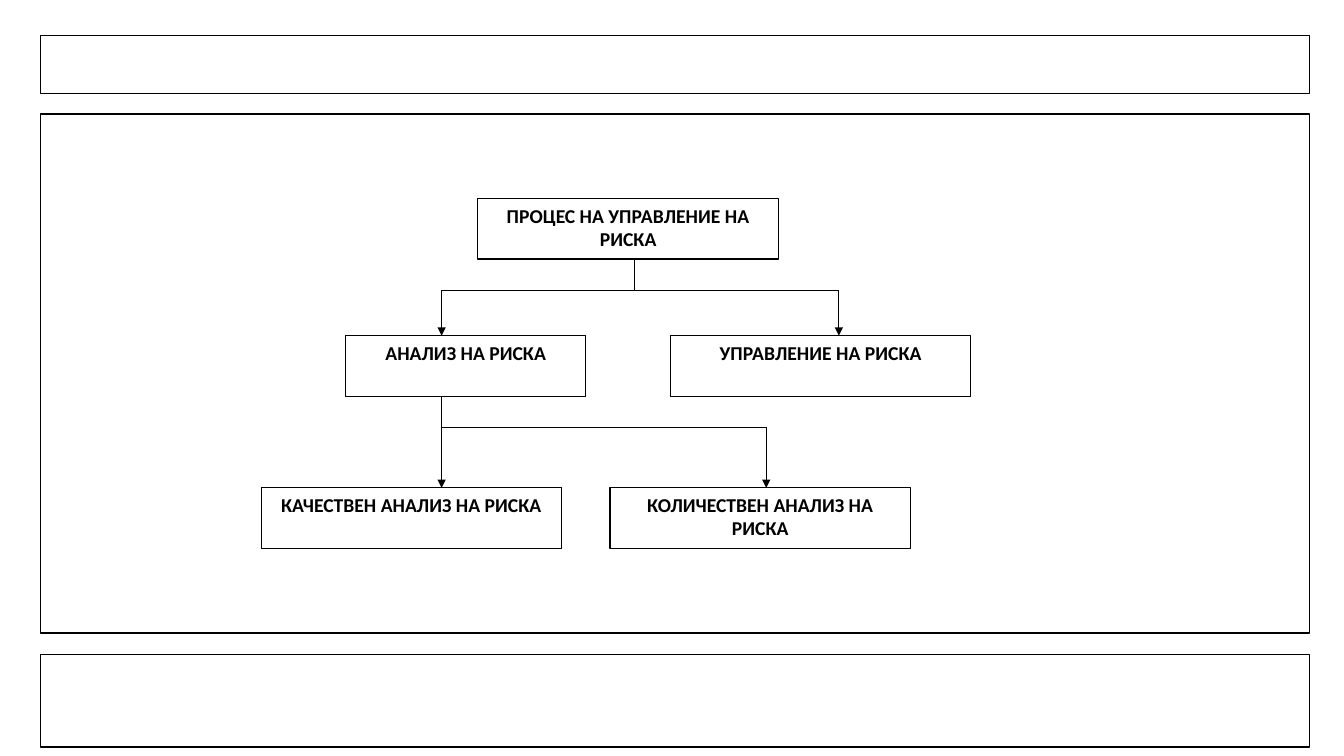
from lxml import etree
from pptx import Presentation
from pptx.dml.color import RGBColor
from pptx.enum.shapes import MSO_CONNECTOR, MSO_SHAPE
from pptx.enum.text import MSO_ANCHOR, PP_ALIGN
from pptx.oxml.ns import qn
from pptx.util import Inches, Pt

RECTANGLE = MSO_SHAPE.RECTANGLE
STRAIGHT = MSO_CONNECTOR.STRAIGHT
TOP = MSO_ANCHOR.TOP
CENTER = PP_ALIGN.CENTER

BLACK, WHITE = "000000", "FFFFFF"
BLANK_LAYOUT = 6
FRAME_LEFT, FRAME_WIDTH = 0.4, 12.59
HEADER = (FRAME_LEFT, 0.35, FRAME_WIDTH, 0.58)
DIAGRAM = (FRAME_LEFT, 1.13, FRAME_WIDTH, 5.15)
FOOTER = (FRAME_LEFT, 6.49, FRAME_WIDTH, 0.92)

STEP_HEIGHT = 0.6
LABEL_FONT = {"name": "Calibri", "size": Pt(14), "bold": True}

# Offsets from the top left corner of the diagram frame
PROCESS_Y, BRANCH_Y, METHOD_Y = 0.84, 2.2, 3.71
STEPS = [
    ("ПРОЦЕС НА УПРАВЛЕНИЕ НА РИСКА", 4.34, PROCESS_Y, 2.98),
    ("УПРАВЛЕНИЕ НА РИСКА", 6.25, BRANCH_Y, 2.98),
    ("АНАЛИЗ НА РИСКА", 3.03, BRANCH_Y, 2.38),
    ("КОЛИЧЕСТВЕН АНАЛИЗ НА РИСКА", 5.65, METHOD_Y, 2.98),
    ("КАЧЕСТВЕН АНАЛИЗ НА РИСКА", 2.19, METHOD_Y, 2.98),
]
STEM_X, ANALYSIS_X, MANAGEMENT_X, QUANTITATIVE_X = 5.89, 3.98, 7.92, 7.2
BRANCH_BUS_Y, METHOD_BUS_Y = 1.75, 3.11
PLAIN_LINES = [
    (ANALYSIS_X, BRANCH_BUS_Y, MANAGEMENT_X, BRANCH_BUS_Y),
    (STEM_X, PROCESS_Y + STEP_HEIGHT, STEM_X, BRANCH_BUS_Y),
    (ANALYSIS_X, METHOD_BUS_Y, QUANTITATIVE_X, METHOD_BUS_Y),
]
ARROWS = [
    (ANALYSIS_X, BRANCH_BUS_Y, ANALYSIS_X, BRANCH_Y),
    (MANAGEMENT_X, BRANCH_BUS_Y, MANAGEMENT_X, BRANCH_Y),
    (ANALYSIS_X, BRANCH_Y + STEP_HEIGHT, ANALYSIS_X, METHOD_Y),
    (QUANTITATIVE_X, METHOD_BUS_Y, QUANTITATIVE_X, METHOD_Y),
]


def color(hex_value):
    return RGBColor.from_string(hex_value)


def add_frame(slide, box, line_width=1, fill=None):
    frame = slide.shapes.add_shape(RECTANGLE, *map(Inches, box))
    frame.shadow.inherit = False
    if fill:
        frame.fill.solid()
        frame.fill.fore_color.rgb = color(fill)
    else:
        frame.fill.background()
    frame.line.color.rgb = color(BLACK)
    frame.line.width = Pt(line_width)
    return frame


def add_step(slide, label, box):
    step = add_frame(slide, box, 0.75, WHITE)
    step.text_frame.word_wrap = True
    step.text_frame.vertical_anchor = TOP
    paragraph = step.text_frame.paragraphs[0]
    paragraph.alignment = CENTER
    paragraph.space_after = Pt(10)
    run = paragraph.add_run()
    run.text = label
    for attribute, value in LABEL_FONT.items():
        setattr(run.font, attribute, value)
    run.font.color.rgb = color(BLACK)


def add_link(slide, ends, arrow=False):
    link = slide.shapes.add_connector(STRAIGHT, *map(Inches, ends))
    link.line.color.rgb = color(BLACK)
    link.line.width = Pt(0.75)
    if arrow:
        etree.SubElement(link.line._get_or_add_ln(), qn("a:tailEnd"), type="triangle")
    etree.SubElement(link._element.spPr, qn("a:effectLst"))


def add_risk_diagram(slide, box):
    left, top = box[:2]
    add_frame(slide, box)
    for label, x, y, width in STEPS:
        add_step(slide, label, (left + x, top + y, width, STEP_HEIGHT))
    for links, arrow in ((PLAIN_LINES, False), (ARROWS, True)):
        for x1, y1, x2, y2 in links:
            add_link(slide, (left + x1, top + y1, left + x2, top + y2), arrow)


def main():
    presentation = Presentation()
    presentation.slide_width = Inches(13.33)
    presentation.slide_height = Inches(7.5)
    slide = presentation.slides.add_slide(presentation.slide_layouts[BLANK_LAYOUT])
    add_frame(slide, HEADER)
    add_frame(slide, FOOTER)
    add_risk_diagram(slide, DIAGRAM)
    presentation.save("out.pptx")


if __name__ == "__main__":
    main()
